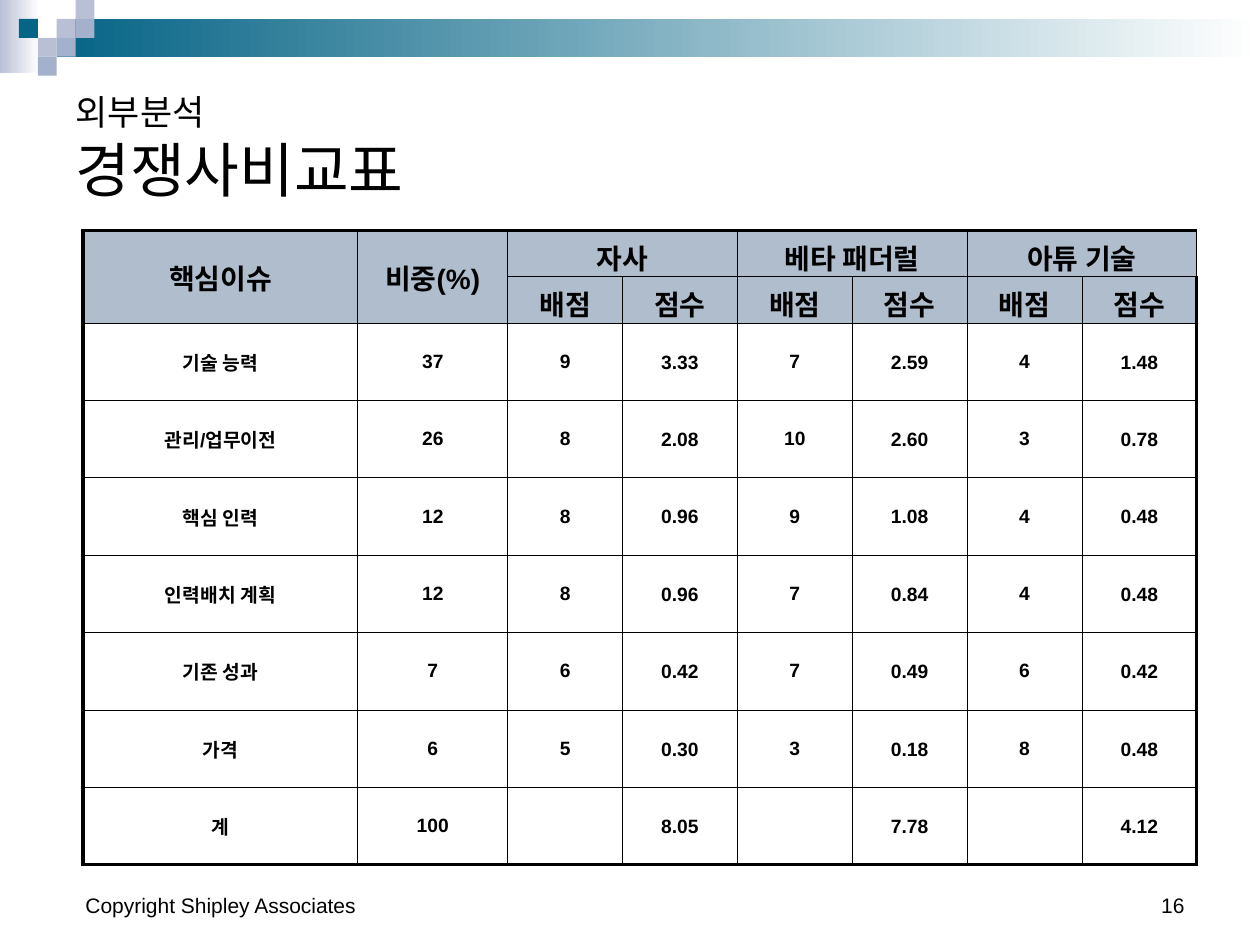
from lxml import etree
from pptx import Presentation
from pptx import util as u
from pptx.dml.color import RGBColor
from pptx.enum import shapes, text
from pptx.oxml.ns import qn

W, H = 10, 7.5
UNIT = 0.15  # side of one square in the header mosaic
FONT = "Arial"
C = {"ink": "000000", "paper": "FFFFFF", "teal": "066486",
     "lilac": "B9C0D5", "blue": "A4B1CC", "head": "B0BDCD"}

COMPANIES = ["자사", "베타 패더럴", "아튜 기술"]
ISSUES = [
    ["기술 능력", "37", "9", "3.33", "7", "2.59", "4", "1.48"],
    ["관리/업무이전", "26", "8", "2.08", "10", "2.60", "3", "0.78"],
    ["핵심 인력", "12", "8", "0.96", "9", "1.08", "4", "0.48"],
    ["인력배치 계획", "12", "8", "0.96", "7", "0.84", "4", "0.48"],
    ["기존 성과", "7", "6", "0.42", "7", "0.49", "6", "0.42"],
    ["가격", "6", "5", "0.30", "3", "0.18", "8", "0.48"],
    ["계", "100", "", "8.05", "", "7.78", "", "4.12"],
]
HEADS = [
    ["핵심이슈", "비중(%)"] + [t for name in COMPANIES for t in (name, "")],
    ["", ""] + ["배점", "점수"] * len(COMPANIES),
]


def rgb(name):
    return RGBColor.from_string(C[name])


def inches(box):
    return [u.Inches(v) for v in box]


def add_run(p, words, size, bold=False):
    r = p.add_run()
    r.text = words
    for key, value in {"name": FONT, "size": u.Pt(size), "bold": bold}.items():
        setattr(r.font, key, value)
    r.font.color.rgb = rgb("ink")


def add_rect(s, box, start, end=None):
    """Draw a plain rectangle, shaded from left to right if end is given."""
    sp = s.shapes.add_shape(shapes.MSO_SHAPE.RECTANGLE, *inches(box))
    sp.shadow.inherit = False
    sp.line.fill.background()
    if end is None:
        sp.fill.solid()
        sp.fill.fore_color.rgb = rgb(start)
        return
    sp.fill.gradient()
    sp.fill.gradient_angle = 0
    for stop, name, at in zip(sp.fill.gradient_stops, (start, end), (0, 1)):
        stop.color.rgb = rgb(name)
        stop.position = at


def add_banner(s, box):
    x, y, w, h = box
    add_rect(s, (x, y, 0.31, h), "lilac", "paper")
    add_rect(s, (x + 3 * UNIT, y + UNIT, w - 3 * UNIT, 2 * UNIT), "teal", "paper")
    mosaic = [(3, 1, "lilac"), (4, 0, "lilac"), (4, 1, "blue"), (2, 2, "lilac"),
              (1, 1, "teal"), (3, 2, "blue"), (2, 3, "blue")]
    for col, row, name in mosaic:
        add_rect(s, (x + col * UNIT, y + row * UNIT, UNIT, UNIT), name)


def add_title(s, box, kicker, heading):
    sp = s.shapes.title
    sp.left, sp.top, sp.width, sp.height = inches(box)
    tf = sp.text_frame
    tf.auto_size = text.MSO_AUTO_SIZE.NONE
    tf.vertical_anchor = text.MSO_ANCHOR.BOTTOM
    p = tf.paragraphs[0]
    p.alignment = text.PP_ALIGN.LEFT
    add_run(p, kicker, 20)
    p.add_line_break()
    # The break needs the size of the first line, or it takes the layout's
    etree.SubElement(p._p.find(qn("a:br")), qn("a:rPr"), sz="2000")
    add_run(p, heading, 34)


def add_footer_text(s, box, words, align):
    tf = s.shapes.add_textbox(*inches(box)).text_frame
    tf.word_wrap = True
    tf.vertical_anchor = text.MSO_ANCHOR.BOTTOM
    p = tf.paragraphs[0]
    p.alignment = align
    add_run(p, words, 12)


def set_borders(cell, widths):
    """Set the left, right, top and bottom lines; widths are in points."""
    props = cell._tc.get_or_add_tcPr()
    for i, (side, width) in enumerate(zip("LRTB", widths)):
        ln = etree.Element(qn(f"a:ln{side}"), w=str(u.Pt(width)))
        fill = etree.SubElement(ln, qn("a:solidFill"))
        etree.SubElement(fill, qn("a:srgbClr"), val=C["ink"])
        props.insert(i, ln)


def format_cell(cell, words, head, score):
    cell.fill.solid()
    cell.fill.fore_color.rgb = rgb("head" if head else "paper")
    cell.vertical_anchor = text.MSO_ANCHOR.MIDDLE
    if score:
        for side in ("left", "right", "top"):
            setattr(cell, f"margin_{side}", u.Inches(0.01))
        cell.margin_bottom = 0
    if words:
        p = cell.text_frame.paragraphs[0]
        p.alignment = text.PP_ALIGN.CENTER
        add_run(p, words, 16 if head else 11, bold=True)


def add_comparison(s, box):
    rows = HEADS + ISSUES
    n_rows, n_cols, n_heads = len(rows), len(rows[0]), len(HEADS)
    issue_w, weight_w, head_h = 2.18, 1.19, 0.36
    score_w = (box[2] - issue_w - weight_w) / (n_cols - 2)
    row_h = (box[3] - n_heads * head_h) / len(ISSUES)

    table = s.shapes.add_table(n_rows, n_cols, *inches(box)).table
    table.first_row = table.horz_banding = False
    for col, w in zip(table.columns, [issue_w, weight_w] + [score_w] * (n_cols - 2)):
        col.width = u.Inches(w)
    for row, h in zip(table.rows, [head_h] * n_heads + [row_h] * len(ISSUES)):
        row.height = u.Inches(h)

    for i, row in enumerate(rows):
        for j, words in enumerate(row):
            cell = table.cell(i, j)
            head = i < n_heads
            format_cell(cell, words, head, not head and j > 1 and j % 2 == 1)
            outer = (j == 0, j == n_cols - 1, i == 0, i == n_rows - 1)
            set_borders(cell, [2.25 if edge else 0.5 for edge in outer])

    for j in range(2):
        table.cell(0, j).merge(table.cell(1, j))
    for j in range(2, n_cols, 2):
        table.cell(0, j).merge(table.cell(0, j + 1))


def main():
    prs = Presentation()
    prs.slide_width, prs.slide_height = inches((W, H))
    s = prs.slides.add_slide(prs.slide_layouts[5])
    add_banner(s, (0, 0, W, 0.58))
    add_footer_text(s, (7.17, 6.83, 2.33, 0.5), "16", text.PP_ALIGN.RIGHT)
    add_footer_text(s, (0.58, 6.83, 3.17, 0.5), "Copyright Shipley Associates",
                    text.PP_ALIGN.LEFT)
    add_title(s, (0.05 * W, 0.5, 0.9 * W, 1.17), "외부분석", "경쟁사비교표")
    add_comparison(s, (0.66, 1.83, 8.84, 5.02))
    prs.save("out.pptx")


if __name__ == "__main__":
    main()
